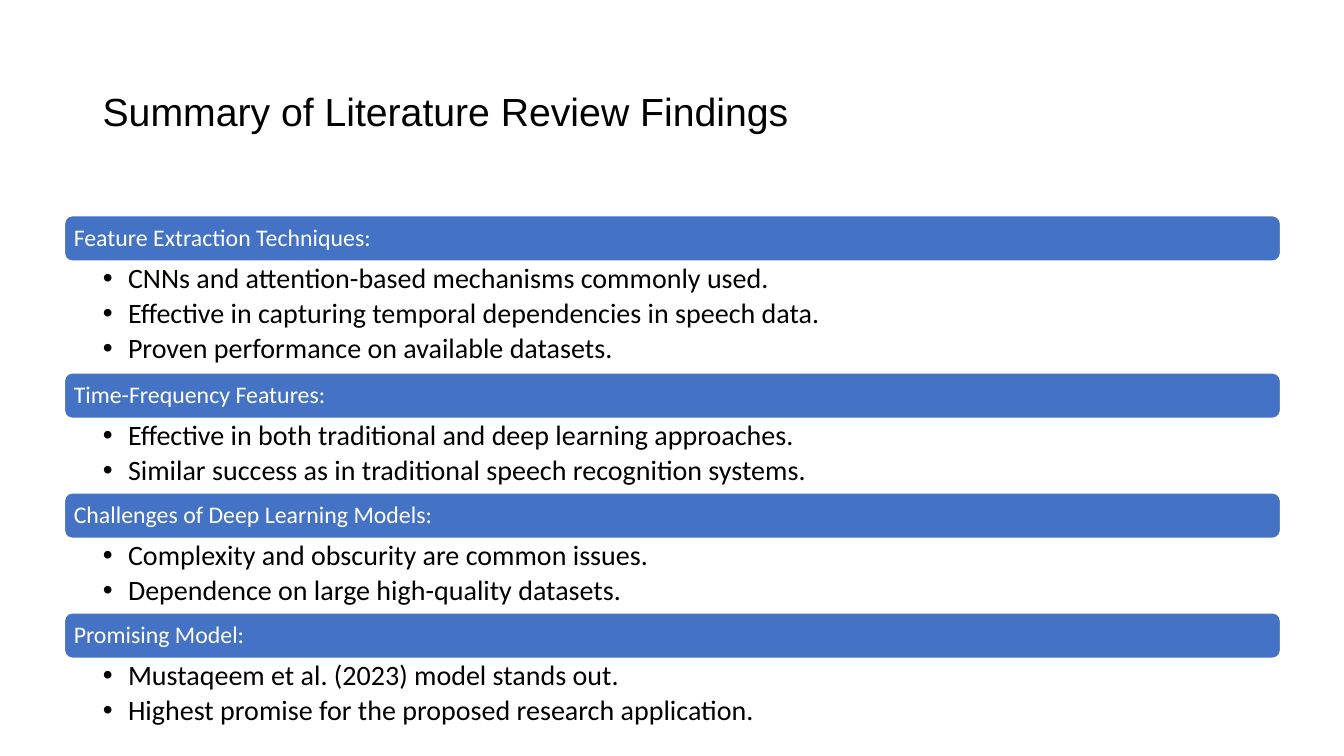
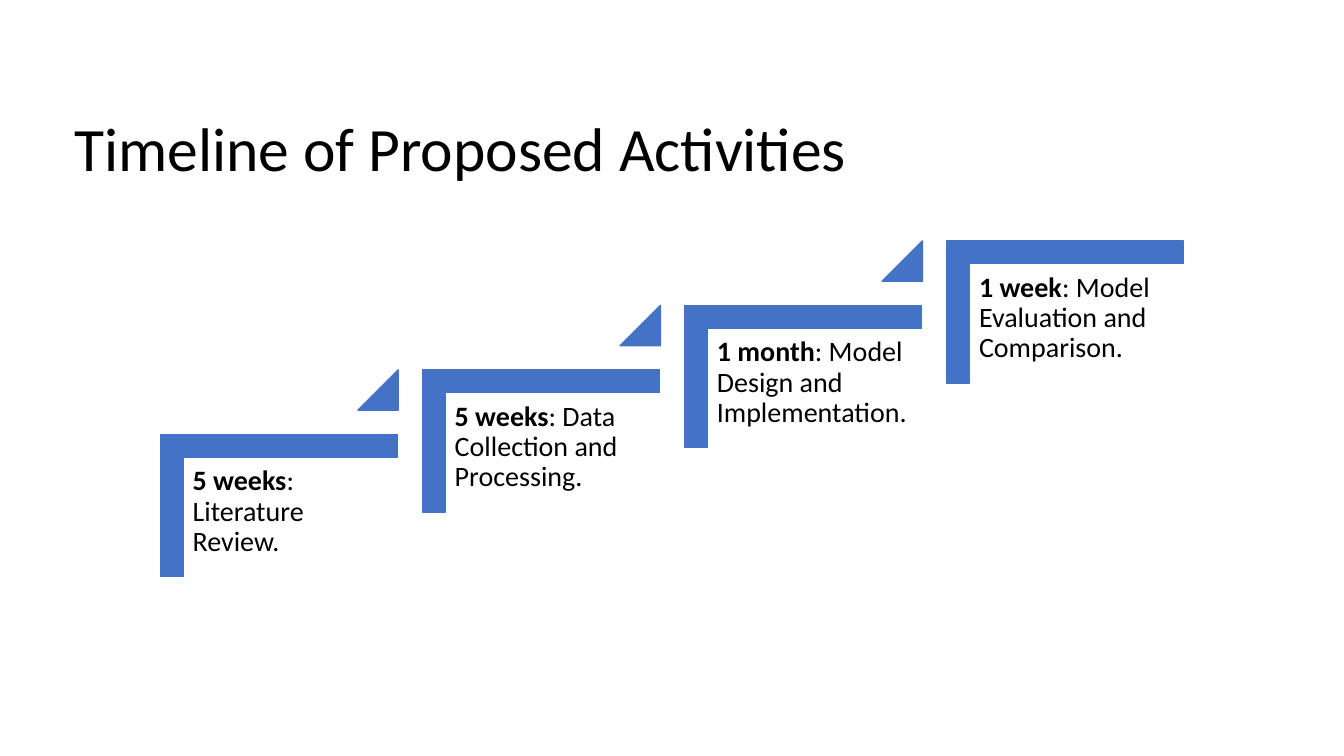
from dataclasses import dataclass
from typing import Any

from lxml.etree import SubElement
from pptx import Presentation
from pptx.dml.color import RGBColor
from pptx.enum.shapes import MSO_SHAPE as Kind
from pptx.enum.text import MSO_ANCHOR as Anchor, PP_ALIGN as Align
from pptx.oxml.ns import qn
from pptx.util import Emu, Pt

SCALE = 9144  # EMU in one px, at 100 px to the inch
BLUE, WHITE, BLACK = "4472C4", "FFFFFF", "000000"
BODY = "Calibri"
BAND_H, LINE_H = 45, 37
STEP_X, STEP_Y = 260, -64


@dataclass(frozen=True)
class Box:
    x: int
    y: int
    w: int
    h: int

    def emu(self) -> tuple[Emu, ...]:
        return tuple(px(n) for n in (self.x, self.y, self.w, self.h))


@dataclass(frozen=True)
class Style:
    size: int
    color: str = BLACK
    name: str = BODY
    anchor: Any = Anchor.TOP
    pad: tuple[int, int, int, int] = (10, 5, 10, 5)
    bullet: bool = False


@dataclass(frozen=True)
class Part:
    head: str
    points: tuple[str, ...]


@dataclass(frozen=True)
class Stage:
    span: str
    task: str


HEAD = Style(17, WHITE, anchor=Anchor.MIDDLE, pad=(7, 7, 7, 7))
LIST = Style(20, pad=(38, 3, 16, 3), bullet=True)
NOTE = Style(20, pad=(8, 8, 8, 8))

PARTS = (
    Part("Feature Extraction Techniques:", (
        "CNNs and attention-based mechanisms commonly used.",
        "Effective in capturing temporal dependencies in speech data.",
        "Proven performance on available datasets.",
    )),
    Part("Time-Frequency Features:", (
        "Effective in both traditional and deep learning approaches.",
        "Similar success as in traditional speech recognition systems.",
    )),
    Part("Challenges of Deep Learning Models:", (
        "Complexity and obscurity are common issues.",
        "Dependence on large high-quality datasets.",
    )),
    Part("Promising Model:", (
        "Mustaqeem et al. (2023) model stands out.",
        "Highest promise for the proposed research application.",
    )),
)

STAGES = (
    Stage("5 weeks", ": Literature Review."),
    Stage("5 weeks", ": Data Collection and Processing."),
    Stage("1 month", ": Model Design and Implementation."),
    Stage("1 week", ": Model Evaluation and Comparison."),
)


def px(n: int) -> Emu:
    return Emu(n * SCALE)


def rgb(code: str) -> RGBColor:
    return RGBColor.from_string(code)


def assign(obj: Any, values: dict[str, Any]) -> None:
    for key, value in values.items():
        setattr(obj, key, value)


def add_mark(para: Any) -> None:
    """Give a paragraph a hanging bullet."""
    props = para._p.get_or_add_pPr()
    props.set("marL", str(px(25)))
    props.set("indent", str(px(-25)))
    SubElement(props, qn("a:buFont")).set("typeface", "Arial")
    SubElement(props, qn("a:buChar")).set("char", "•")


def write(shape: Any, paras: list[list[tuple[str, bool]]], style: Style) -> None:
    """Fill a shape with paragraphs, each a list of (text, bold) runs."""
    frame = shape.text_frame
    left, top, right, low = (px(n) for n in style.pad)
    assign(frame, {
        "word_wrap": True, "vertical_anchor": style.anchor,
        "margin_left": left, "margin_top": top,
        "margin_right": right, "margin_bottom": low,
    })
    for i, runs in enumerate(paras):
        para = frame.add_paragraph() if i else frame.paragraphs[0]
        assign(para, {"alignment": Align.LEFT, "line_spacing": 0.9})
        if style.bullet:
            para.level = 1
            para.space_after = Pt(3.5)
            add_mark(para)
        for text, bold in runs:
            run = para.add_run()
            run.text = text
            assign(run.font, {"size": Pt(style.size), "name": style.name, "bold": bold})
            run.font.color.rgb = rgb(style.color)


def add_text(slide: Any, box: Box, paras: list[list[tuple[str, bool]]], style: Style) -> None:
    write(slide.shapes.add_textbox(*box.emu()), paras, style)


def add_form(slide: Any, kind: Any, box: Box, edge: str = BLUE) -> Any:
    """Draw a blue preset shape with a thin edge."""
    form = slide.shapes.add_shape(kind, *box.emu())
    form.shadow.inherit = False
    form.fill.solid()
    form.fill.fore_color.rgb = rgb(BLUE)
    form.line.color.rgb = rgb(edge)
    form.line.width = Pt(1)
    return form


def add_stair(slide: Any, box: Box) -> None:
    """Draw the corner preset, which the shape enum lacks, turned a quarter."""
    stair = add_form(slide, Kind.RECTANGLE, box)
    stair.rotation = 90
    geom = stair._element.spPr.find(qn("a:prstGeom"))
    geom.set("prst", "corner")
    for name in ("adj1", "adj2"):
        guide = SubElement(geom.find(qn("a:avLst")), qn("a:gd"))
        guide.set("name", name)
        guide.set("fmla", "val 16100")


def add_slide(deck: Any, title: str, box: Box, style: Style) -> Any:
    slide = deck.slides.add_slide(deck.slide_layouts[6])
    add_text(slide, box, [[(title, False)]], style)
    return slide


def add_part(slide: Any, part: Part, top: int) -> int:
    """Draw a band with its list and return the top of the next one."""
    band = add_form(slide, Kind.ROUNDED_RECTANGLE, Box(64, top, 1206, BAND_H), WHITE)
    write(band, [[(part.head, False)]], HEAD)
    size = LINE_H * len(part.points)
    add_text(slide, Box(64, top + BAND_H, 1206, size),
             [[(point, False)] for point in part.points], LIST)
    return top + BAND_H + size


def add_stage(slide: Any, stage: Stage, i: int, last: bool) -> None:
    x, y = 206 + i * STEP_X, 384 + i * STEP_Y
    add_stair(slide, Box(x, y, 141, 235))
    add_text(slide, Box(x - 23, y + 71, 212, 186),
             [[(stage.span, True), (stage.task, False)]], NOTE)
    if not last:
        peak = add_form(slide, Kind.ISOSCELES_TRIANGLE, Box(x + 149, y - 17, 40, 40))
        peak.adjustments[0] = 1


def main() -> None:
    deck = Presentation()
    assign(deck, {"slide_width": px(1333), "slide_height": px(750)})

    slide = add_slide(deck, "Summary of Literature Review Findings",
                      Box(92, 40, 1150, 145),
                      Style(28, name="Arial", anchor=Anchor.MIDDLE))
    top = 214
    for part in PARTS:
        top = add_part(slide, part, top)

    slide = add_slide(deck, "Timeline of Proposed Activities",
                      Box(64, 77, 1206, 111), Style(44, anchor=Anchor.BOTTOM))
    for i, stage in enumerate(STAGES):
        add_stage(slide, stage, i, i == len(STAGES) - 1)

    deck.save("out.pptx")


if __name__ == "__main__":
    main()
